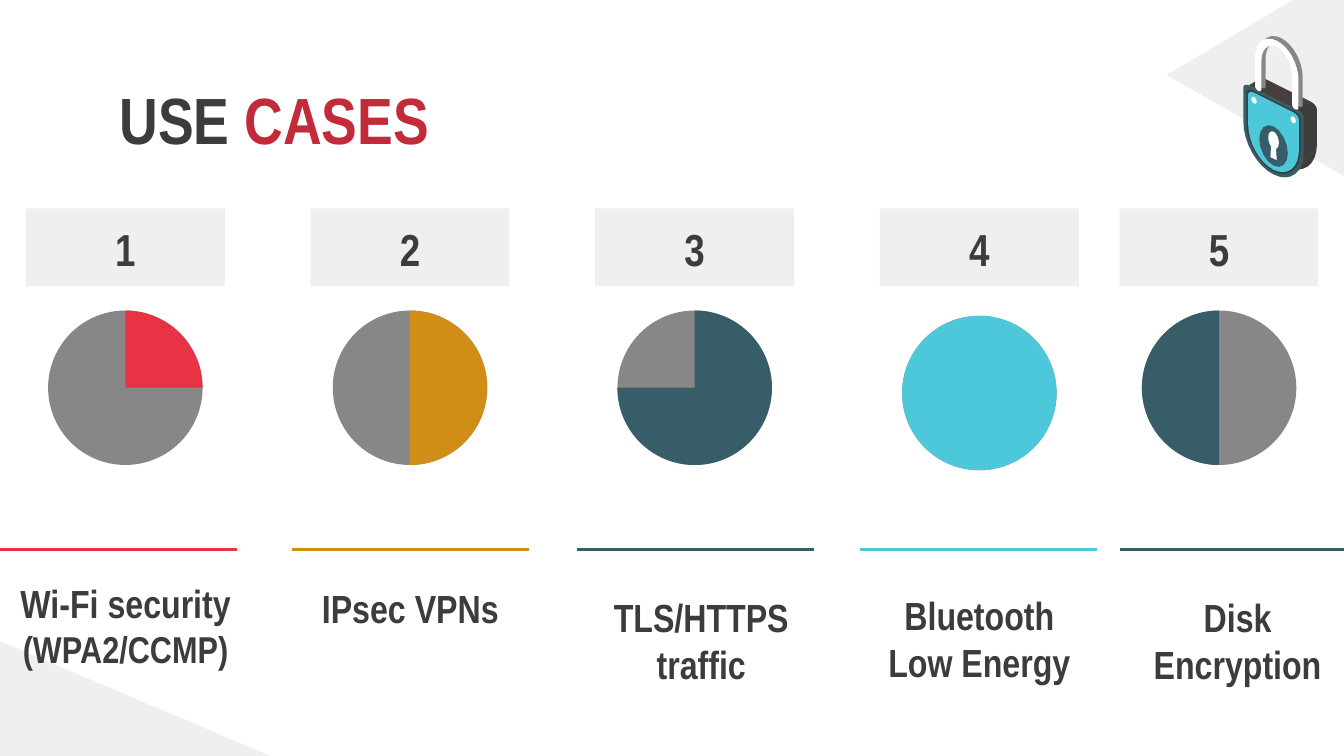
from dataclasses import dataclass
from math import cos, radians, sin

from lxml.etree import SubElement
from pptx import Presentation
from pptx.dml.color import RGBColor
from pptx.enum.shapes import MSO_CONNECTOR, MSO_SHAPE
from pptx.enum.text import MSO_ANCHOR, PP_ALIGN
from pptx.oxml.ns import qn
from pptx.util import Cm, Pt


@dataclass(frozen=True)
class Theme:
    font: str = "Arial Narrow"
    ink: str = "3C3C3B"
    accent: str = "C22B3A"
    gray: str = "878787"
    red: str = "E83345"
    gold: str = "D18E17"
    teal: str = "375D68"
    aqua: str = "4DC8DB"
    white: str = "FFFFFF"
    brown: str = "47403A"
    title: int = 35
    number: int = 24
    label: int = 21
    small: int = 20
    rule: float = 1.5
    tint: int = 13  # percent opacity of the pale areas


T = Theme()

# All lengths are in centimetres
WIDTH, HEIGHT = 25.4, 14.29
CARD_X, CARD_Y, CARD_W, CARD_H = 0.49, 3.94, 3.76, 1.47
PITCH, LAST_X = 5.38, 21.16
PIE_Y, PIE_D = 5.87, 2.92
RULE_Y, RULE_W = 10.39, 4.48
LABEL_Y, LABEL_W, LABEL_H = 10.97, 4.75, 1.22
LOCK_X = 24.07  # upright middle line of the padlock
DEPTH = (0.25, -0.15)  # from the lock's front to its back

# Colour, filled share, pie turn, pie drop, rule left
CASES = [
    (T.red, 0.25, 0, 0, 0),
    (T.gold, 0.5, 0, 0, 5.51),
    (T.teal, 0.75, 0, 0, 10.9),
    (T.aqua, 1, 0, 0.1, 16.26),
    (T.teal, 0.5, 180, 0, LAST_X),
]

# Label box, anchor, runs
LABELS = [
    ((0, 10.7, LABEL_W, 1.85), MSO_ANCHOR.TOP,
     [("Wi-Fi security ", T.label), ("(WPA2/CCMP)", T.small)]),
    ((5.38, LABEL_Y, LABEL_W, LABEL_H), MSO_ANCHOR.BOTTOM, [("IPsec VPNs", T.label)]),
    ((10.88, LABEL_Y, LABEL_W, LABEL_H), MSO_ANCHOR.TOP, [("TLS/HTTPS traffic", T.label)]),
    ((16.26, 10.92, 4.5, 1.42), MSO_ANCHOR.TOP, [("Bluetooth Low Energy", T.label)]),
    ((21.27, LABEL_Y, 4.24, 2.31), MSO_ANCHOR.TOP, [("Disk Encryption", T.label)]),
]


# --- Basic elements ---

def paint(shape, color, alpha=None):
    shape.shadow.inherit = False
    shape.line.fill.background()
    shape.fill.solid()
    shape.fill.fore_color.rgb = RGBColor.from_string(color)
    if alpha:
        node = next(shape.element.iter(qn("a:srgbClr")))
        SubElement(node, qn("a:alpha")).set("val", str(alpha * 1000))
    return shape


def add_form(slide, kind, box, color, alpha=None):
    return paint(slide.shapes.add_shape(kind, *map(Cm, box)), color, alpha)


def add_poly(slide, dots, color, alpha=None):
    first, *rest = [(Cm(x), Cm(y)) for x, y in dots]
    pen = slide.shapes.build_freeform(*first)
    pen.add_line_segments(rest, close=True)
    paint(pen.convert_to_shape(), color, alpha)


def write(shape, runs, align=PP_ALIGN.CENTER, anchor=MSO_ANCHOR.TOP):
    frame = shape.text_frame
    frame.word_wrap = True
    frame.vertical_anchor = anchor
    frame.margin_left = frame.margin_right = Cm(0.25)
    frame.margin_top = frame.margin_bottom = Cm(0.25)
    para = frame.paragraphs[0]
    para.alignment = align
    for text, size, color in runs:
        run = para.add_run()
        run.text = text
        run.font.name, run.font.size, run.font.bold = T.font, Pt(size), True
        run.font.color.rgb = RGBColor.from_string(color)


def add_text(slide, box, runs, **style):
    write(slide.shapes.add_textbox(*map(Cm, box)), runs, **style)


def add_rule(slide, left, color):
    y = Cm(RULE_Y)
    line = slide.shapes.add_connector(
        MSO_CONNECTOR.STRAIGHT, Cm(left), y, Cm(left + RULE_W), y)
    line.line.color.rgb = RGBColor.from_string(color)
    line.line.width = Pt(T.rule)
    SubElement(line.element.spPr, qn("a:effectLst"))


def add_pie(slide, box, color, share, turn):
    """Fill a share of a gray disc, clockwise from twelve o'clock."""
    add_form(slide, MSO_SHAPE.OVAL, box, T.gray)
    pie = add_form(slide, MSO_SHAPE.PIE, box, color)
    start = 270
    sweep = min(360 * share, 359.98)  # a full sweep would close to nothing
    unit = 0.6  # adjustment units per degree
    pie.adjustments[0] = start * unit
    pie.adjustments[1] = (start + sweep) % 360 * unit
    pie.rotation = turn


# --- Padlock: flat outlines, tilted into place ---

def arc(x, y, rx, ry, start, end, steps=16):
    turns = [radians(start + (end - start) * i / steps) for i in range(steps + 1)]
    return [(x + rx * cos(a), y + ry * sin(a)) for a in turns]


def shield(inset):
    """Round top corners, straight sides and a half-oval base."""
    half, top, waist, base, bend = 0.57 - inset, 1.85 + inset, 2.59, 0.71 - inset, 0.1
    side = half - bend
    return (arc(-side, top + bend, bend, bend, 180, 270)
            + arc(side, top + bend, bend, bend, 270, 360)
            + arc(0, waist, half, base, 0, 180))


def arch():
    """Two legs with round feet under an oval bow."""
    mid, spring, foot, outer, inner = 0.06, 1.27, 1.8, 0.41, 0.29
    leg, toe = (outer + inner) / 2, (outer - inner) / 2
    return (arc(mid, spring, outer, 0.53, 180, 360)
            + arc(mid + leg, foot, toe, toe, 0, 180)
            + arc(mid, spring, inner, 0.41, 360, 180)
            + arc(mid - leg, foot, toe, toe, 0, 180))


def tilt(dots, shift=(0, 0)):
    """Slope the flat outline down to the right, then move it."""
    return [(LOCK_X + x + shift[0], y + x / 2 + shift[1]) for x, y in dots]


def add_lock(slide):
    # Back of the body, and the edges that join it to the front
    add_poly(slide, tilt(shield(0), DEPTH), T.ink)
    for edge in ([(-0.47, 1.85), (0.47, 1.85)], [(0.55, 2.7), (0.27, 3.2)]):
        add_poly(slide, tilt(edge) + tilt(edge[::-1], DEPTH), T.brown)

    # Front, each layer set further in
    for color, inset in ((T.teal, 0), (T.ink, 0.06), (T.aqua, 0.09)):
        add_poly(slide, tilt(shield(inset)), color)

    # Keyhole plate, keyhole, rivets and slot
    discs = [(T.teal, 0, 2.76, 0.27, 0.37), (T.white, 0, 2.65, 0.1, 0.16),
             (T.white, -0.37, 2.08, 0.05, 0.06), (T.white, 0.37, 2.08, 0.05, 0.06)]
    for color, *oval in discs:
        add_poly(slide, tilt(arc(*oval, 0, 360)), color)
    slot = [(-0.04, 2.67), (0.04, 2.67), (0.06, 3), (-0.06, 3)]
    add_poly(slide, tilt(slot), T.white)

    # Shackle, shaded behind and white in front
    for color, shift in ((T.gray, (0.08, -0.05)), (T.white, (0, 0))):
        add_poly(slide, tilt(arch(), shift), color)


# --- Slide parts ---

def add_case(slide, i, color, share, turn, drop, left):
    x = LAST_X if i == len(CASES) - 1 else CARD_X + PITCH * i
    card = add_form(slide, MSO_SHAPE.RECTANGLE, (x, CARD_Y, CARD_W, CARD_H), T.gray, T.tint)
    write(card, [(str(i + 1), T.number, T.ink)])
    box = (x + (CARD_W - PIE_D) / 2, PIE_Y + drop, PIE_D, PIE_D)
    add_pie(slide, box, color, share, turn)
    add_rule(slide, left, color)


def add_corners(slide):
    wide, tall = 5.11, 2.17
    box = (0, HEIGHT - tall, wide, tall)
    add_form(slide, MSO_SHAPE.RIGHT_TRIANGLE, box, T.gray, T.tint)
    wedge = [(WIDTH, 3.33), (22.05, 1.42), (24.43, 0), (WIDTH, 0)]
    add_poly(slide, wedge, T.gray, T.tint)


def main():
    deck = Presentation()
    deck.slide_width, deck.slide_height = Cm(WIDTH), Cm(HEIGHT)
    slide = deck.slides.add_slide(deck.slide_layouts[6])

    add_corners(slide)
    add_text(slide, (2.01, 1.24, 21.41, 1.6),
             [("USE ", T.title, T.ink), ("CASES", T.title, T.accent)], align=PP_ALIGN.LEFT)
    add_lock(slide)
    for i, case in enumerate(CASES):
        add_case(slide, i, *case)
    for box, anchor, runs in LABELS:
        add_text(slide, box, [(text, size, T.ink) for text, size in runs], anchor=anchor)

    deck.save("out.pptx")


if __name__ == "__main__":
    main()
